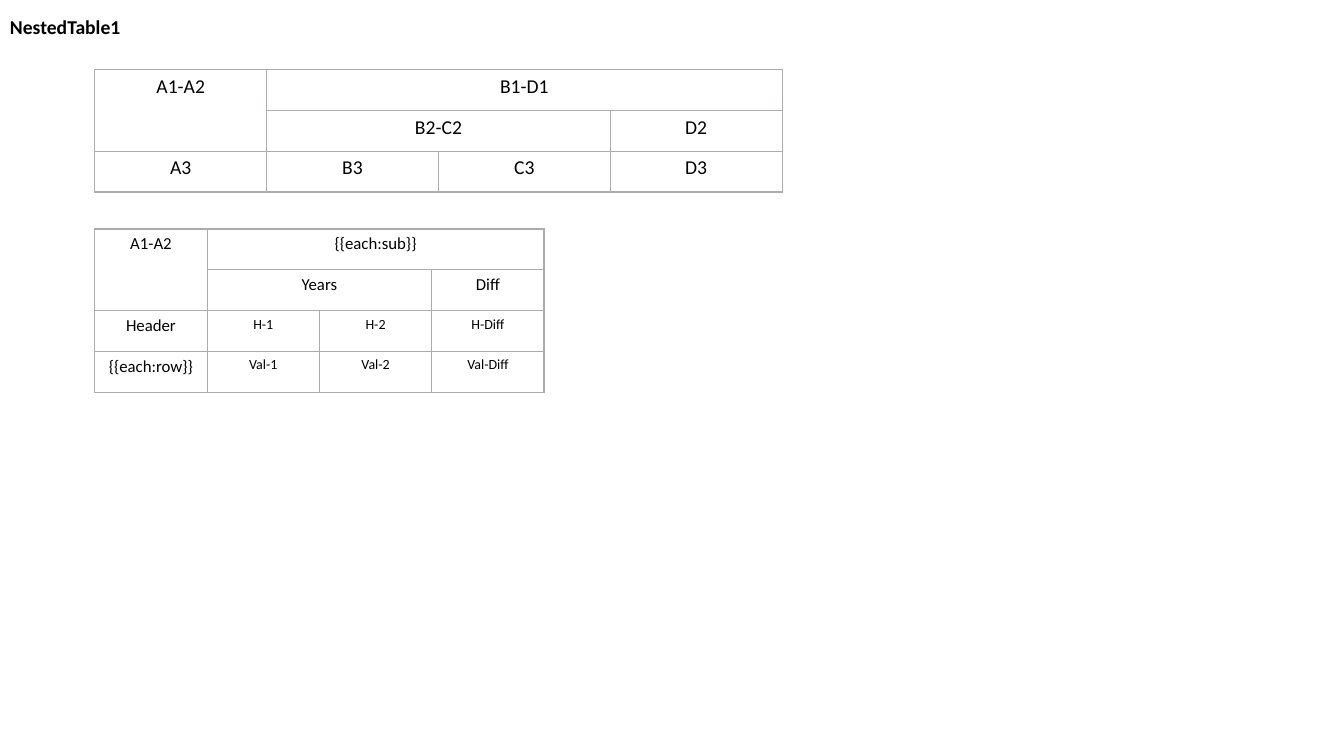
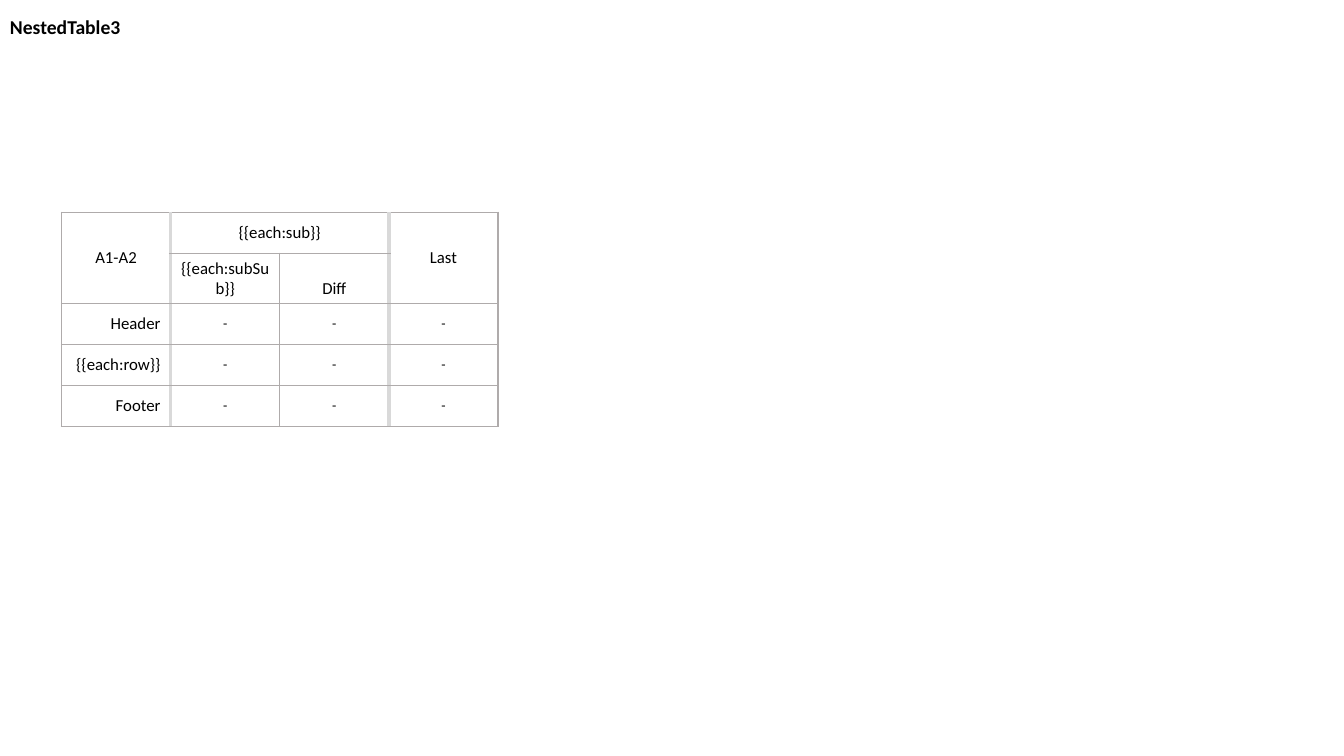
from lxml.etree import SubElement
from pptx import Presentation
from pptx.dml.color import RGBColor
from pptx.enum.text import MSO_ANCHOR, PP_ALIGN
from pptx.oxml.ns import qn
from pptx.util import Cm, Pt

COLORS = {"text": "000000", "line": "AFABAB", "divider": "D9D9D9"}


class Deck:
    font_name = "Calibri"
    row_height = Cm(1.03)
    header_rows = 2

    def __init__(self):
        self.presentation = Presentation()
        self.presentation.slide_width = Cm(33.87)
        self.presentation.slide_height = Cm(19.05)
        self.slide = None

    def add_slide(self, title):
        self.slide = self.presentation.slides.add_slide(self.presentation.slide_layouts[6])
        shape = self.slide.shapes.add_textbox(Cm(0), Cm(0.08), Cm(29.21), Cm(1.24))
        frame = shape.text_frame
        frame.word_wrap = True
        frame.vertical_anchor = MSO_ANCHOR.MIDDLE
        paragraph = frame.paragraphs[0]
        paragraph.line_spacing = 0.9
        self.add_run(paragraph, title, 14, bold=True)

    def add_run(self, paragraph, text, size, bold=False):
        run = paragraph.add_run()
        run.text = text
        run.font.name = self.font_name
        run.font.size = Pt(size)
        run.font.bold = bold
        run.font.color.rgb = RGBColor.from_string(COLORS["text"])

    def add_border(self, cell, side, color, width):
        properties = cell._tc.get_or_add_tcPr()
        line = SubElement(properties, qn(f"a:ln{side}"), w=str(Pt(width)))
        fill = SubElement(line, qn("a:solidFill"))
        SubElement(fill, qn("a:srgbClr"), val=COLORS[color])

    def add_borders(self, cell, column, dividers):
        span = cell.span_width if cell.is_merge_origin else 1
        edges = {"L": column, "R": column + span, "T": None, "B": None}
        for side, edge in edges.items():
            color, width = ("divider", 3) if edge in dividers else ("line", 1)
            self.add_border(cell, side, color, width)

    def add_table(self, left, top, column_width, rows, merges, size, value_size,
                  anchors=None, label_align=PP_ALIGN.CENTER, dividers=()):
        columns = len(rows[0])
        table = self.slide.shapes.add_table(
            len(rows), columns, left, top,
            column_width * columns, self.row_height * len(rows)).table
        table.first_row = False
        table.horz_banding = False
        for column in table.columns:
            column.width = column_width
        for row in table.rows:
            row.height = self.row_height
        for first, last in merges:
            table.cell(*first).merge(table.cell(*last))
        for row_index, row in enumerate(rows):
            for column_index, text in enumerate(row):
                cell = table.cell(row_index, column_index)
                self.add_borders(cell, column_index, dividers)
                cell.fill.background()
                if text is None:
                    continue
                is_body = row_index >= self.header_rows
                is_label = column_index == 0
                if anchors:
                    cell.vertical_anchor = anchors[row_index]
                paragraph = cell.text_frame.paragraphs[0]
                paragraph.alignment = label_align if is_body and is_label else PP_ALIGN.CENTER
                self.add_run(paragraph, text, value_size if is_body and not is_label else size)


def main():
    deck = Deck()
    wide_header = [((0, 0), (1, 0)), ((0, 1), (0, 3)), ((1, 1), (1, 2))]

    deck.add_slide("NestedTable1")
    deck.add_table(Cm(2.39), Cm(1.75), Cm(4.33), [
        ["A1-A2", "B1-D1", None, None],
        [None, "B2-C2", None, "D2"],
        ["A3", "B3", "C3", "D3"],
    ], wide_header, size=14, value_size=14)
    deck.add_table(Cm(2.39), Cm(5.77), Cm(2.83), [
        ["A1-A2", "{{each:sub}}", None, None],
        [None, "Years", None, "Diff"],
        ["Header", "H-1", "H-2", "H-Diff"],
        ["{{each:row}}", "Val-1", "Val-2", "Val-Diff"],
    ], wide_header, size=12, value_size=10)

    deck.add_slide("NestedTable3")
    middle, bottom = MSO_ANCHOR.MIDDLE, MSO_ANCHOR.BOTTOM
    deck.add_table(Cm(1.55), Cm(5.35), Cm(2.75), [
        ["A1-A2", "{{each:sub}}", None, "Last"],
        [None, "{{each:subSub}}", "Diff", None],
        *([label, "-", "-", "-"] for label in ("Header", "{{each:row}}", "Footer")),
    ], [((0, 0), (1, 0)), ((0, 1), (0, 2)), ((0, 3), (1, 3))], size=12, value_size=10,
        anchors=[middle, bottom, middle, middle, middle],
        label_align=PP_ALIGN.RIGHT, dividers=(1, 3))

    deck.presentation.save("out.pptx")


if __name__ == "__main__":
    main()
